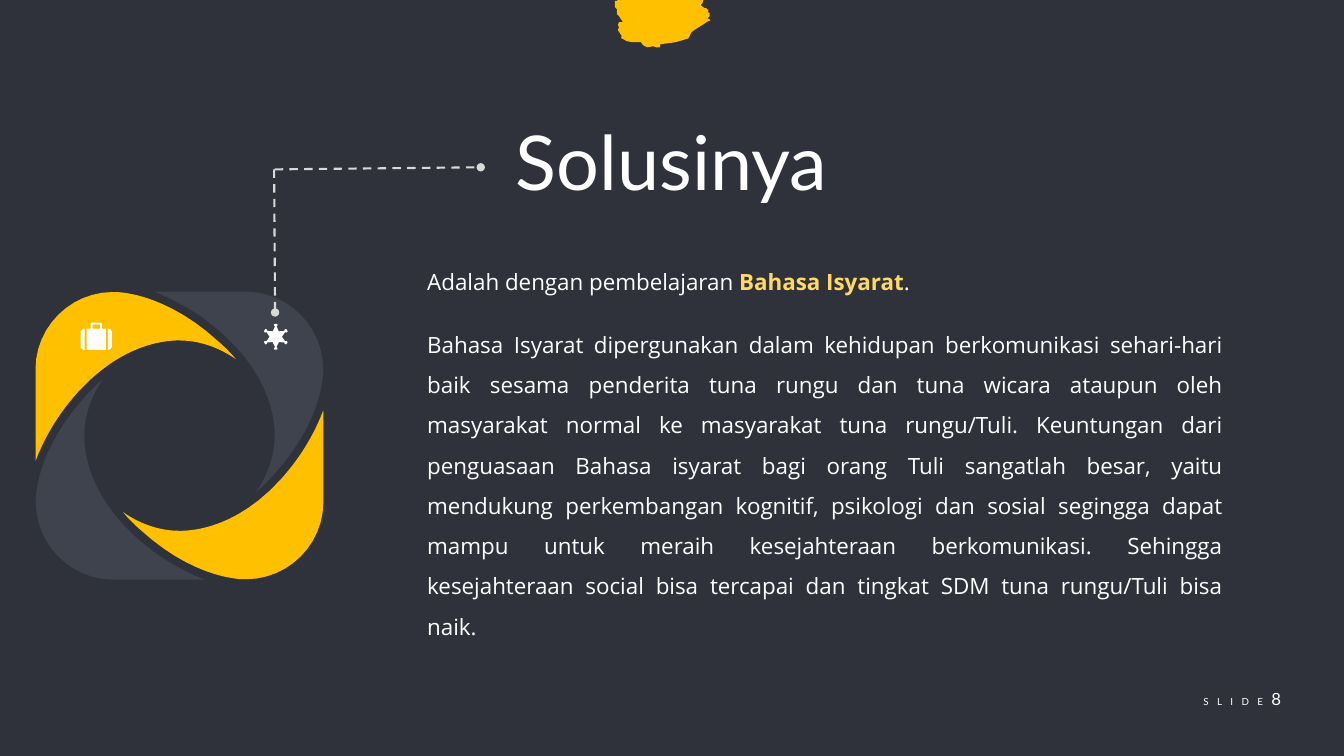
from math import cos, radians, sin

from lxml import etree
from pptx import Presentation
from pptx.dml.color import RGBColor
from pptx.enum.dml import MSO_LINE
from pptx.enum.shapes import MSO_CONNECTOR
from pptx.enum.text import MSO_ANCHOR, MSO_AUTO_SIZE, PP_ALIGN
from pptx.oxml.ns import qn
from pptx.util import Pt

STRAIGHT = MSO_CONNECTOR.STRAIGHT
DASH = MSO_LINE.DASH
TOP = MSO_ANCHOR.TOP
GROW = MSO_AUTO_SIZE.SHAPE_TO_FIT_TEXT
LEFT, CENTER, JUSTIFY = PP_ALIGN.LEFT, PP_ALIGN.CENTER, PP_ALIGN.JUSTIFY

DARK, GRAY, GOLD = "2F323A", "3F434D", "FFC000"
WHITE, PALE, SILVER = "FFFFFF", "FFD966", "D9D9D9"

BLADE = [
    (27.4, -67.7), (-6.5, -98.6, -37.4, -102.6, -46.1, -102.6),
    (-47.5, -102.6), (-77.8, -102.6, -102.8, -77.8, -102.8, -47.5),
    (-102.8, 18), (-102.2, 16.6), (-95.8, 0, -85.7, -16.6, -72, -31.7),
    (-41, -65.5, -10.8, -67.7, -2.2, -68), (0, -68),
    (15.1, -68, 28.8, -62.6, 40.3, -54.7),
    (36.7, -59, 32.4, -63.4, 27.4, -67.7),
]
BRUSH = [
    (0, 0.7), (1.4, 0.7), (2.2, 0), (4.3, -0.7), (3.6, -1.4), (7.2, -3.6),
    (11.5, -3.6), (16.6, -5.8), (29.5, -7.9), (37.4, -7.2), (46.1, -6.5),
    (52.6, -8.6), (59, -9.4), (61.9, -6.5), (63.4, -3.6), (63.4, -0.7),
    (62.6, 2.2), (61.2, 3.6), (61.9, 4.3), (64.1, 5.8), (65.5, 5.8),
    (65.5, 6.5), (67, 7.2), (66.2, 8.6), (67.7, 9.4), (67.7, 11.5),
    (66.2, 13), (68.4, 14.4), (65.5, 15.8), (63.4, 17.3), (57.6, 20.9),
    (54.7, 23), (53.3, 25.9), (52.6, 27.4), (48.2, 28.8), (43.2, 30.2),
    (32.4, 31.7), (32.4, 33.8), (29.5, 33.8), (27.4, 33.1), (23, 33.8),
    (20.2, 32.4), (18.7, 30.2), (13, 30.2), (8.6, 29.5), (5, 27.4),
    (4.3, 27.4), (5, 25.9), (3.6, 23.8), (2.2, 21.6), (2.9, 19.4),
    (2.2, 18), (2.9, 15.8), (5.8, 15.8), (4.3, 13.7), (2.9, 11.5),
    (1.4, 10.1), (1.4, 6.5), (0, 5),
]
SIDE = [(-8.3, 4.3), (-9.9, 4.3, -11.2, 5.6, -11.2, 7.2), (-11.2, 16.6),
        (-11.2, 18.2, -9.9, 19.5, -8.3, 19.5)]
CASE = [(-6.9, 4.3), (-4, 4.3), (-4, 1.4), (-4, 0.6, -3.4, 0, -2.6, 0),
        (2.6, 0), (3.4, 0, 4, 0.6, 4, 1.4), (4, 4.3), (6.9, 4.3),
        (6.9, 19.5), (-6.9, 19.5)]
GRIP = [(-2.7, 1.5), (2.7, 1.5), (2.7, 4.3), (-2.7, 4.3)]
SPIKE = [(-30, 4.4), (-4, 7.4), (-9, 8.3), (-6, 9.3), (6, 9.3), (9, 8.3),
         (4, 7.4)]

BODY = (
    "Bahasa Isyarat dipergunakan dalam kehidupan berkomunikasi sehari-hari "
    "baik sesama penderita tuna rungu dan tuna wicara ataupun oleh masyarakat "
    "normal ke masyarakat tuna rungu/Tuli. Keuntungan dari penguasaan Bahasa "
    "isyarat bagi orang Tuli sangatlah besar, yaitu mendukung perkembangan "
    "kognitif, psikologi dan sosial segingga dapat mampu untuk meraih "
    "kesejahteraan berkomunikasi. Sehingga kesejahteraan social bisa tercapai "
    "dan tingkat SDM tuna rungu/Tuli bisa naik."
)


def tint(code):
    return RGBColor.from_string(code)


def assign(target, values):
    for name, value in values.items():
        setattr(target, name, value)


def flatten(path, steps=12):
    points = []
    for seg in path:
        if len(seg) == 2:
            points.append(seg)
            continue
        x0, y0 = points[-1]
        x1, y1, x2, y2, x3, y3 = seg
        for i in range(1, steps + 1):
            t = i / steps
            a, b, c, d = (1 - t) ** 3, 3 * t * (1 - t) ** 2, 3 * t * t * (1 - t), t ** 3
            points.append((a * x0 + b * x1 + c * x2 + d * x3,
                           a * y0 + b * y1 + c * y2 + d * y3))
    return points


def trace(slide, x, y, color, *loops):
    pen = None
    for loop in loops:
        first, *rest = [(Pt(x + px), Pt(y + py)) for px, py in loop]
        if pen is None:
            pen = slide.shapes.build_freeform(*first, scale=1.0)
        else:
            pen.move_to(*first)
        pen.add_line_segments(rest, close=True)
    shape = pen.convert_to_shape()
    shape.shadow.inherit = False
    shape.fill.solid()
    shape.fill.fore_color.rgb = tint(color)
    shape.line.fill.background()


def write(shape, box, runs, align=LEFT, space=1.0, wrap=True):
    assign(shape, dict(zip(("left", "top", "width", "height"), map(Pt, box))))
    frame = shape.text_frame
    assign(frame, {
        "word_wrap": wrap, "auto_size": GROW, "vertical_anchor": TOP,
        "margin_left": Pt(7.2), "margin_right": Pt(7.2),
        "margin_top": Pt(3.6), "margin_bottom": Pt(3.6),
    })
    para = frame.paragraphs[0]
    assign(para, {"alignment": align, "line_spacing": space})
    for text, font, size, color, bold, track in runs:
        run = para.add_run()
        run.text = text
        assign(run.font, {"name": font, "size": Pt(size), "bold": bold})
        run.font.color.rgb = tint(color)
        if track:
            run.font._element.set("spc", str(track * 100))


def add_text(slide, box, runs, **style):
    write(slide.shapes.add_textbox(*map(Pt, box)), box, runs, **style)


def add_swirl(slide, x, y):
    path = flatten(BLADE)
    for turn in range(4):
        trace(slide, x, y, GRAY if turn % 2 else GOLD, path)
        path = [(-py, px) for px, py in path]


def add_case(slide, x, y):
    side = flatten(SIDE)
    trace(slide, x, y, WHITE, side)
    trace(slide, x, y, WHITE, [(-px, py) for px, py in side])
    trace(slide, x, y, WHITE, flatten(CASE), GRIP)


def add_star(slide, x, y):
    polar = [(radians(60 * tip + turn), r) for tip in range(6) for turn, r in SPIKE]
    trace(slide, x, y, WHITE, [(r * sin(a), -r * cos(a)) for a, r in polar])


def add_leader(slide, x, y, ends):
    for start, end in ends:
        points = (x + start[0], y + start[1], x + end[0], y + end[1])
        line = slide.shapes.add_connector(STRAIGHT, *map(Pt, points))
        assign(line.line, {"width": Pt(1.5), "dash_style": DASH})
        line.line.color.rgb = tint(SILVER)
        props = line._element.spPr
        etree.SubElement(props.find(qn("a:ln")), qn("a:tailEnd"), type="oval")
        etree.SubElement(props, qn("a:effectLst"))


def add_copy(slide, x, y, width):
    plain = ("Open Sans", 16, WHITE, False, 0)
    bold = ("Open Sans", 16, PALE, True, 0)
    add_text(slide, (x, y, width, 36),
             [("Adalah dengan pembelajaran ", *plain),
              ("Bahasa Isyarat", *bold), (".", *plain)], space=1.5)
    add_text(slide, (x, y + 44.6, width, 211), [(BODY, *plain)],
             align=JUSTIFY, space=1.5)


def main():
    deck = Presentation()
    assign(deck, {"slide_width": Pt(960), "slide_height": Pt(540)})
    slide = deck.slides.add_slide(deck.slide_layouts[5])
    slide.background.fill.solid()
    slide.background.fill.fore_color.rgb = tint(DARK)

    add_text(slide, (852.5, 488.2, 74.2, 21.6),
             [("SLIDE", "Lato", 7, WHITE, False, 6),
              ("8", "Lato", 12, WHITE, False, 0)], wrap=False)
    write(slide.shapes.title, (116.6, 78.5, 726.5, 72.7),
          [("Solusinya", "Lato", 54, WHITE, False, 0)], align=CENTER)
    trace(slide, 439.2, 0, GOLD, BRUSH)
    add_copy(slide, 298.1, 178.6, 582.5)
    add_swirl(slide, 128.2, 311.2)
    add_case(slide, 68.8, 230.4)
    add_star(slide, 197, 240.5)
    add_leader(slide, 196.2, 121,
               [((0, 0), (147.2, -1.5)), ((-0.4, 0), (0.3, 102.2))])
    deck.save("out.pptx")


if __name__ == "__main__":
    main()
